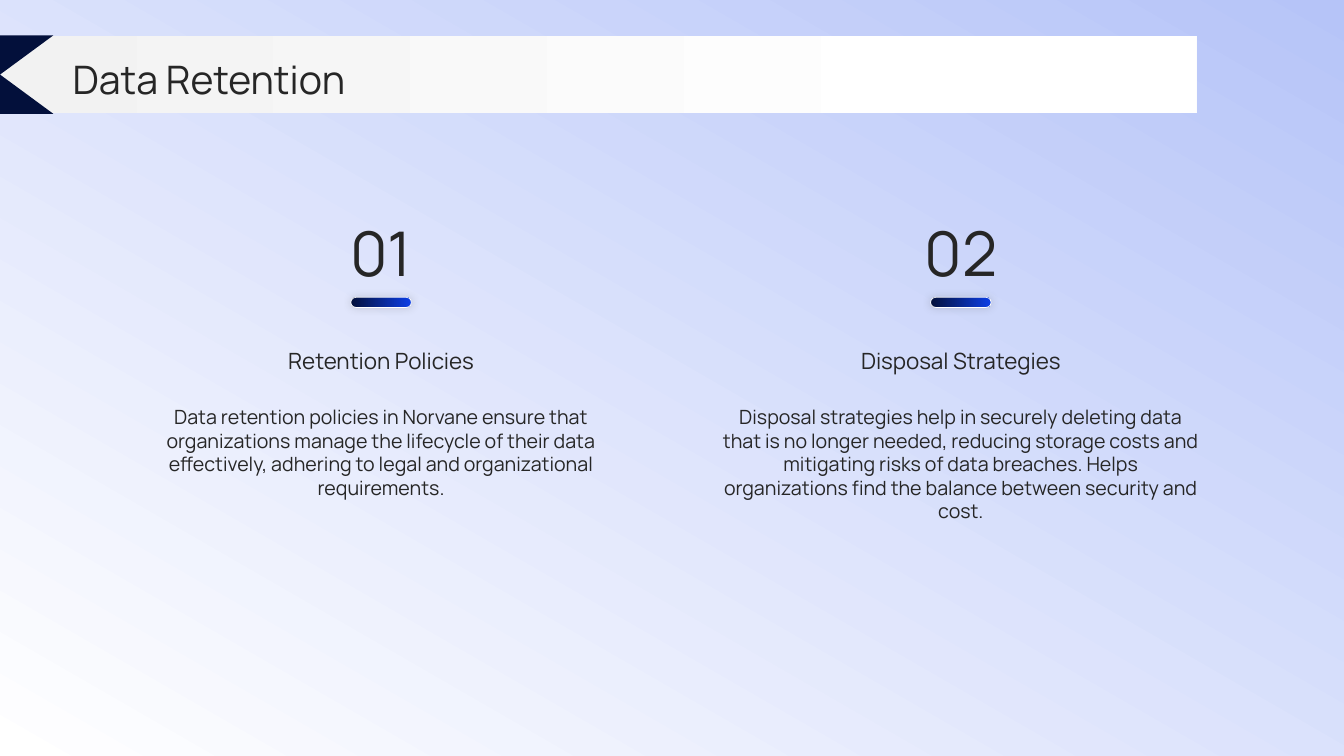
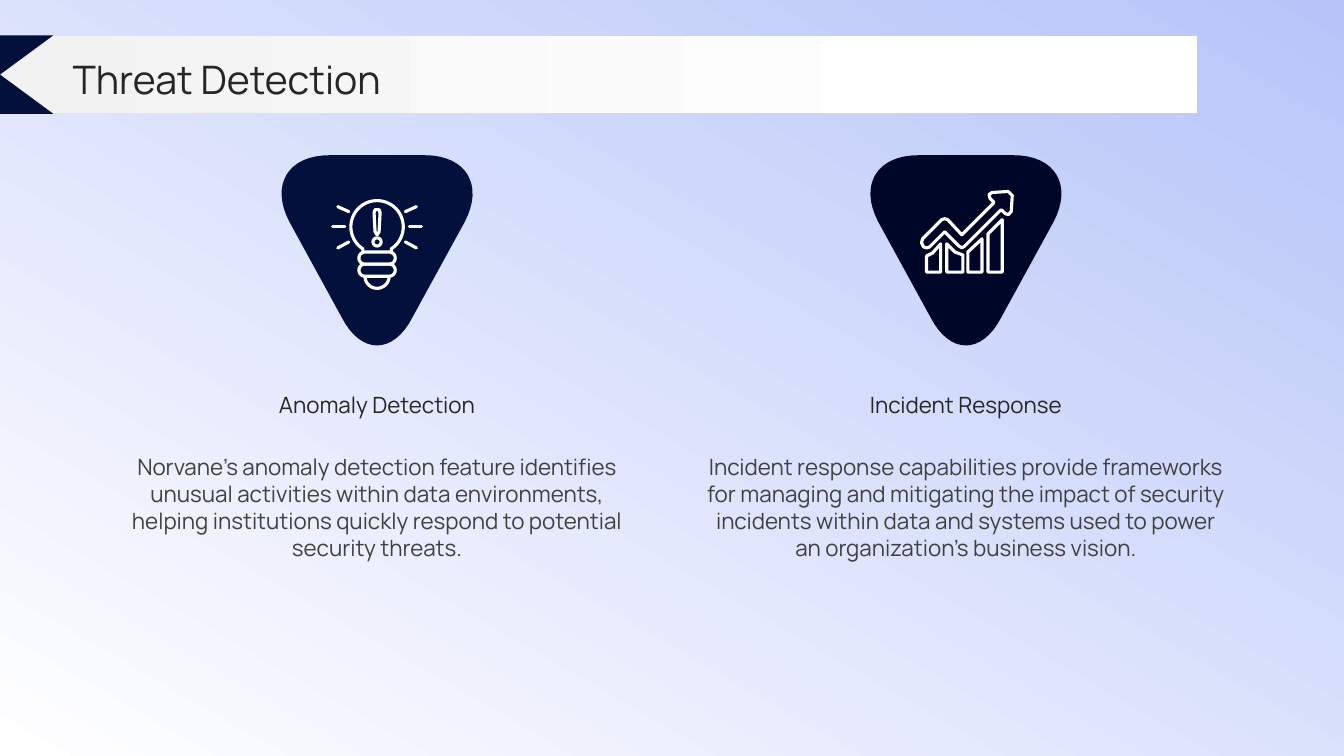
from math import cos, radians, sin

from lxml.etree import SubElement
from pptx import Presentation
from pptx.dml.color import RGBColor
from pptx.enum.shapes import MSO_SHAPE
from pptx.enum.text import MSO_ANCHOR, MSO_AUTO_SIZE, PP_ALIGN
from pptx.oxml.ns import qn
from pptx.util import Inches, Pt

NAVY = RGBColor(0x03, 0x10, 0x3B)
NIGHT = RGBColor(0x00, 0x06, 0x27)
BLUE = RGBColor(0x0C, 0x3E, 0xE6)
SKY = RGBColor(0xB6, 0xC4, 0xF8)
PALE = RGBColor(0xF2, 0xF2, 0xF2)
WHITE = RGBColor(0xFF, 0xFF, 0xFF)
INK = RGBColor(0x26, 0x26, 0x26)
GRAY = RGBColor(0x40, 0x40, 0x40)
FONT = "Manrope"
WIDE, HIGH = 13.33, 7.5

FRAME = {
    "margin_left": 0, "margin_right": 0, "margin_top": 0, "margin_bottom": 0,
    "word_wrap": True, "auto_size": MSO_AUTO_SIZE.NONE,
}

RULES = [
    ("01", "Retention Policies",
     "Data retention policies in Norvane ensure that organizations manage the "
     "lifecycle of their data effectively, adhering to legal and "
     "organizational requirements."),
    ("02", "Disposal Strategies",
     "Disposal strategies help in securely deleting data that is no longer "
     "needed, reducing storage costs and mitigating risks of data breaches. "
     "Helps organizations find the balance between security and cost."),
]

# Outlines hold x from the column centre and y from the slide top.
CURVES = [
    [(0.47, 1.54), (0.89, 1.54), (1.06, 1.84), (0.87, 2.2)],
    [(0.35, 3.15), (0.16, 3.52), (-0.16, 3.52), (-0.35, 3.15)],
    [(-0.87, 2.2), (-1.06, 1.84), (-0.89, 1.54), (-0.47, 1.54)],
]
MARK = [(-0.03, 2.11), (-0.02, 2.08), (0.02, 2.08), (0.03, 2.11),
        (0.02, 2.3), (0, 2.33), (-0.02, 2.3)]
RAYS = [(0.28, 2.1, 0.39, 2.05), (0.32, 2.25, 0.44, 2.25),
        (0.28, 2.4, 0.39, 2.46)]
FLOOR = 2.7
BARS = [
    [(-0.39, 2.54), (-0.33, 2.51), (-0.25, 2.42)],
    [(-0.19, 2.42), (-0.11, 2.5), (-0.03, 2.53)],
    [(0.02, 2.5), (0.16, 2.37)],
    [(0.22, 2.32), (0.36, 2.18)],
]
ARROW = [
    (-0.44, 2.41), (-0.43, 2.37), (-0.24, 2.18), (-0.21, 2.17), (-0.18, 2.18),
    (-0.04, 2.33), (0.28, 2.01), (0.24, 1.97), (0.23, 1.93), (0.26, 1.91),
    (0.42, 1.9), (0.46, 1.94), (0.45, 2.1), (0.42, 2.13), (0.39, 2.12),
    (0.35, 2.08), (-0.01, 2.44), (-0.04, 2.46), (-0.07, 2.44),
    (-0.21, 2.3), (-0.36, 2.45), (-0.39, 2.46), (-0.42, 2.45),
]


def assign(target, values):
    for name, value in values.items():
        setattr(target, name, value)


def blend(fill, first, last, angle=0, end=1):
    fill.gradient()
    fill.gradient_angle = angle
    for stop, color, place in zip(fill.gradient_stops, (first, last), (0, end)):
        stop.color.rgb = color
        stop.position = place


def paint(shape, color):
    shape.fill.solid()
    shape.fill.fore_color.rgb = color


def write(frame, text, size, color=INK, align=PP_ALIGN.CENTER,
          anchor=MSO_ANCHOR.TOP):
    assign(frame, FRAME | {"vertical_anchor": anchor})
    frame.text = text
    line = frame.paragraphs[0]
    line.alignment = align
    assign(line.font, {"size": Pt(size), "name": FONT, "bold": False})
    line.font.color.rgb = color


def label(slide, mid, top, width, height, text, size, **style):
    """Add a text box centred on mid."""
    box = slide.shapes.add_textbox(Inches(mid - width / 2), Inches(top),
                                   Inches(width), Inches(height))
    write(box.text_frame, text, size, **style)


def block(slide, kind, left, top, width, height):
    """Add a preset shape without line or shadow."""
    shape = slide.shapes.add_shape(kind, Inches(left), Inches(top),
                                   Inches(width), Inches(height))
    shape.shadow.inherit = False
    shape.line.fill.background()
    return shape


def outline(slide, mid, paths):
    """Draw one freeform from (points, close) pairs."""
    pen = None
    for points, close in paths:
        dots = [(Inches(mid + x), Inches(y)) for x, y in points]
        if pen is None:
            pen = slide.shapes.build_freeform(*dots[0])
        else:
            pen.move_to(*dots[0])
        pen.add_line_segments(dots[1:], close=close)
    shape = pen.convert_to_shape()
    shape.shadow.inherit = False
    return shape


def bezier(a, b, c, d, steps=16):
    for i in range(steps + 1):
        t = i / steps
        u = 1 - t
        yield tuple(u**3 * p + 3 * u * u * t * q + 3 * u * t * t * r + t**3 * s
                    for p, q, r, s in zip(a, b, c, d))


def arc(x, y, radius, start, end, step=6):
    """Points of an arc, in degrees clockwise from the right."""
    return [(x + radius * cos(radians(a)), y + radius * sin(radians(a)))
            for a in range(start, end + 1, step)]


def bulb():
    glass = [(-0.14, 2.51), *arc(0, 2.25, 0.26, 123, 417), (0.14, 2.51)]
    paths = [(glass, False), (MARK, True),
             (arc(0, 2.4, 0.04, 0, 354), True),
             (arc(0, 2.74, 0.12, 0, 180), False)]
    for y in (2.56, 2.68):
        ring = arc(0.12, y, 0.06, -90, 90) + arc(-0.12, y, 0.06, 90, 270)
        paths.append((ring, True))
    for side in (-1, 1):
        for x1, y1, x2, y2 in RAYS:
            paths.append(([(side * x1, y1), (side * x2, y2)], False))
    return paths


def growth():
    bars = [(tops + [(tops[-1][0], FLOOR), (tops[0][0], FLOOR)], True)
            for tops in BARS]
    return bars + [(ARROW, True)]


def badge(slide, mid, color, paths):
    points = [point for curve in CURVES for point in bezier(*curve)]
    shape = outline(slide, mid, [(points, True)])
    paint(shape, color)
    shape.line.fill.background()
    icon = outline(slide, mid, paths)
    icon.fill.background()
    icon.line.color.rgb = WHITE
    icon.line.width = Pt(2.25)
    edge = icon.element.spPr.get_or_add_ln()
    edge.set("cap", "rnd")
    SubElement(edge, qn("a:round"))


def pill(slide, mid):
    shape = block(slide, MSO_SHAPE.ROUNDED_RECTANGLE,
                  mid - 0.3, 2.95, 0.6, 0.1)
    shape.adjustments[0] = 0.5
    blend(shape.fill, NAVY, BLUE)
    shape.line.color.rgb = WHITE
    shape.line.width = Pt(0.5)
    glow = SubElement(shape.element.spPr.find(qn("a:effectLst")),
                      qn("a:outerShdw"), blurRad=str(Pt(6)), dist="0", dir="0")
    tint = SubElement(glow, qn("a:srgbClr"), val=str(GRAY))
    SubElement(tint, qn("a:alpha"), val="20000")


def theme(layout, slide):
    """Set up the backdrop, band and title place on the layout."""
    for holder in list(layout.placeholders):
        if holder.placeholder_format.idx:
            holder.element.getparent().remove(holder.element)
    assign(layout.placeholders[0], {
        "left": Inches(0.72), "top": Inches(0.53),
        "width": Inches(11.88), "height": Inches(0.51)})
    back = block(slide, MSO_SHAPE.RECTANGLE, 0, 0, WIDE, HIGH)
    blend(back.fill, SKY, WHITE, angle=240)
    band = block(slide, MSO_SHAPE.RECTANGLE, 0, 0.36, 11.87, 0.76)
    blend(band.fill, PALE, WHITE, end=0.8)
    notch = block(slide, MSO_SHAPE.FLOWCHART_COLLATE, -0.53, 0.35, 1.06, 0.78)
    paint(notch, NAVY)
    for shape in (back, band, notch):
        layout.shapes.element.append(shape.element)


def head(slide, text):
    write(slide.shapes.title.text_frame, text, 28, align=PP_ALIGN.LEFT,
          anchor=MSO_ANCHOR.MIDDLE)


def retain(slide):
    head(slide, "Data Retention")
    for mid, (number, name, text) in zip((3.78, 9.53), RULES):
        label(slide, mid, 2.13, 1.18, 0.66, number, 44)
        pill(slide, mid)
        label(slide, mid, 3.25, 4.72, 0.66, name, 16, anchor=MSO_ANCHOR.MIDDLE)
        label(slide, mid, 4.02, 4.72, 1.8, text, 14)


def detect(slide):
    head(slide, "Threat Detection")
    threats = [
        (NAVY, bulb(), "Anomaly Detection",
         "Norvane's anomaly detection feature identifies unusual activities "
         "within data environments, helping institutions quickly respond to "
         "potential security threats."),
        (NIGHT, growth(), "Incident Response",
         "Incident response capabilities provide frameworks for managing and "
         "mitigating the impact of security incidents within data and systems "
         "used to power an organization’s business vision."),
    ]
    for mid, (color, paths, name, text) in zip((3.74, 9.58), threats):
        badge(slide, mid, color, paths)
        label(slide, mid, 3.54, 5.16, 0.94, name, 16, anchor=MSO_ANCHOR.MIDDLE)
        label(slide, mid, 4.5, 5.16, 1.94, text, 16, color=GRAY)


def main():
    deck = Presentation()
    deck.slide_width, deck.slide_height = Inches(WIDE), Inches(HIGH)
    layout = deck.slide_layouts.get_by_name("Title Only")
    slides = [deck.slides.add_slide(layout) for _ in range(2)]
    theme(layout, slides[0])
    retain(slides[0])
    detect(slides[1])
    deck.save("out.pptx")


if __name__ == "__main__":
    main()
